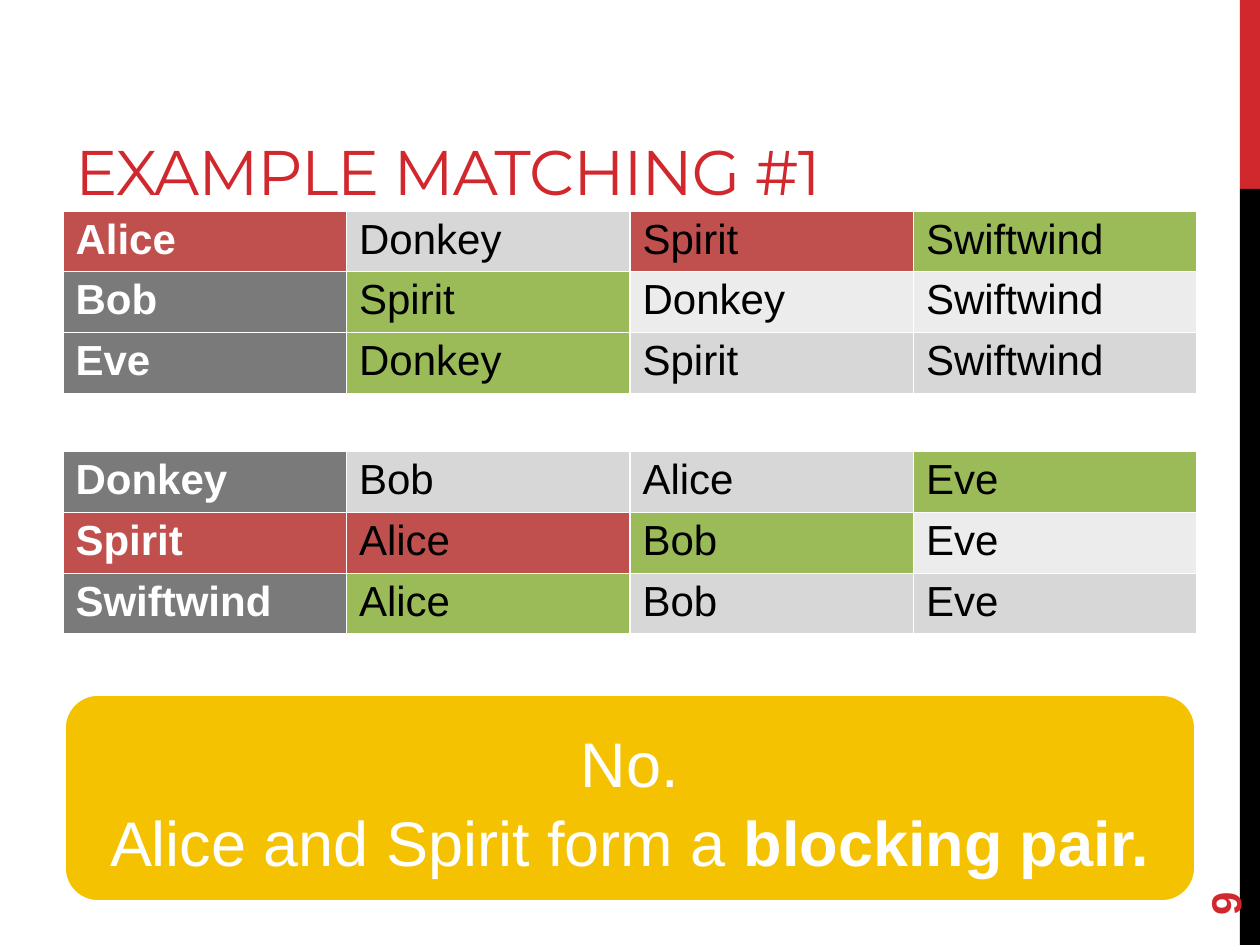
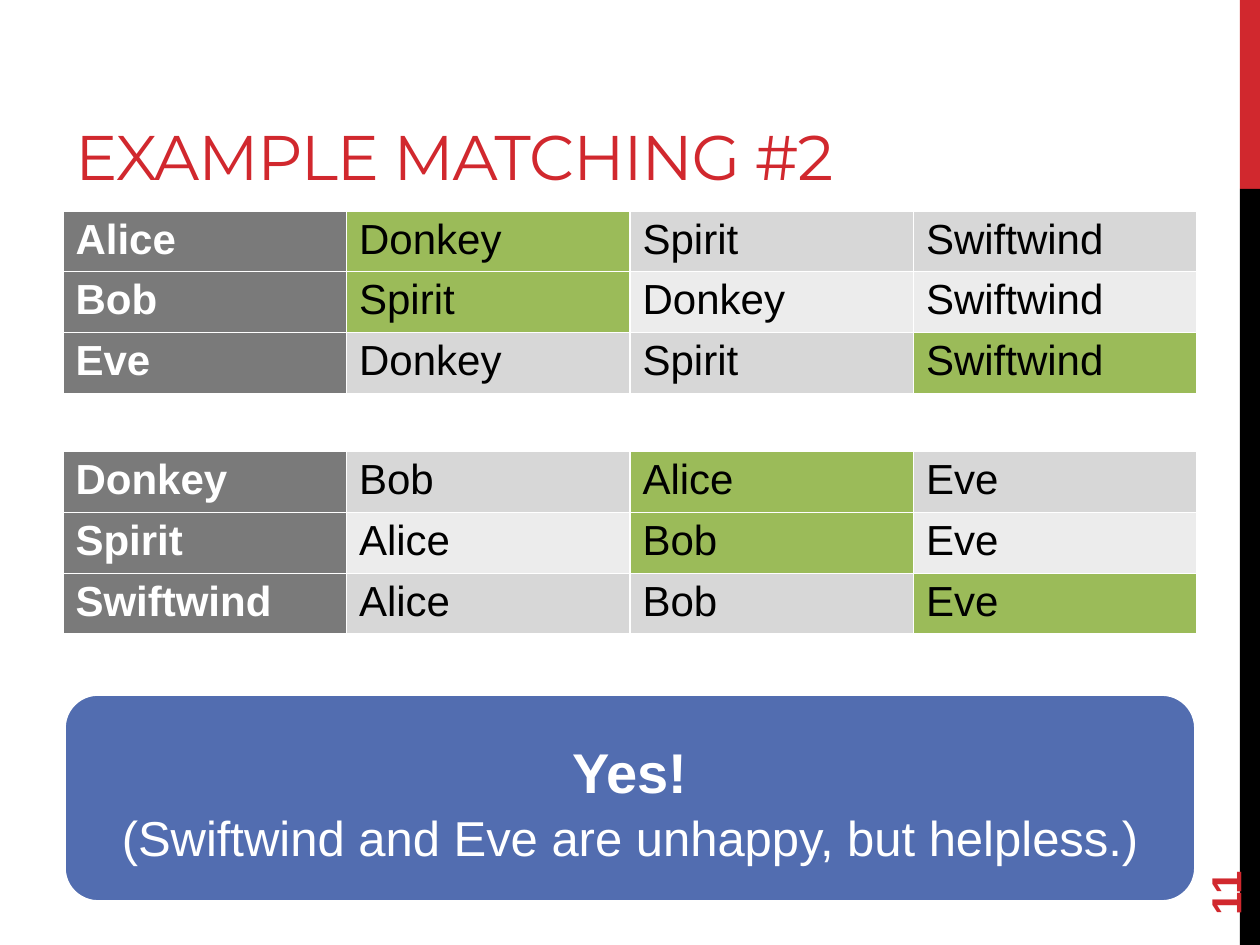
from lxml import etree
from pptx import Presentation
from pptx.dml.color import RGBColor
from pptx.enum.shapes import MSO_SHAPE
from pptx.enum.text import MSO_ANCHOR, PP_ALIGN
from pptx.oxml.ns import qn
from pptx.util import Pt

RECTANGLE = MSO_SHAPE.RECTANGLE
ROUNDED = MSO_SHAPE.ROUNDED_RECTANGLE
BOTTOM = MSO_ANCHOR.BOTTOM
MIDDLE = MSO_ANCHOR.MIDDLE
LEFT = PP_ALIGN.LEFT
CENTER = PP_ALIGN.CENTER

RED = RGBColor(0xD1, 0x28, 0x2E)
BLACK = RGBColor(0, 0, 0)
WHITE = RGBColor(255, 255, 255)
HEADER_GRAY = RGBColor(0x7A, 0x7A, 0x7A)
BAND_GRAYS = [RGBColor(0xD7, 0xD7, 0xD7), RGBColor(0xEC, 0xEC, 0xEC)]
MATCH_GREEN = RGBColor(0x9B, 0xBB, 0x59)
BLOCKING_RED = RGBColor(0xC0, 0x50, 0x4D)
YELLOW = RGBColor(0xF5, 0xC2, 0x01)
BLUE = RGBColor(0x52, 0x6D, 0xB0)

MARGIN = 36
CONTENT_WIDTH = 648
ROW_HEIGHT = 33.8

SIDE_BANDS = [(0, 108, RED), (108, 432, BLACK)]

RIDER_PREFERENCES = [
    ["Alice", "Donkey", "Spirit", "Swiftwind"],
    ["Bob", "Spirit", "Donkey", "Swiftwind"],
    ["Eve", "Donkey", "Spirit", "Swiftwind"],
]
HORSE_PREFERENCES = [
    ["Donkey", "Bob", "Alice", "Eve"],
    ["Spirit", "Alice", "Bob", "Eve"],
    ["Swiftwind", "Alice", "Bob", "Eve"],
]
TABLES = [(120.5, RIDER_PREFERENCES), (258, HORSE_PREFERENCES)]

SLIDES = [
    {
        "title": "EXAMPLE MATCHING #1",
        "title_box": (MARGIN, 12.24, 550.8, 108),
        "number": "9",
        "matches": [{"Alice", "Swiftwind"}, {"Bob", "Spirit"}, {"Eve", "Donkey"}],
        "blocking": {"Alice", "Spirit"},
        "verdict_color": YELLOW,
        "verdict": [
            [("No.", 36, False)],
            [("Alice and Spirit form a ", 36, False), ("blocking pair.", 36, True)],
        ],
    },
    {
        "title": "EXAMPLE MATCHING #2",
        "title_box": (MARGIN, 21.6, CONTENT_WIDTH, 90),
        "number": "11",
        "matches": [{"Alice", "Donkey"}, {"Bob", "Spirit"}, {"Eve", "Swiftwind"}],
        "blocking": set(),
        "verdict_color": BLUE,
        "verdict": [
            [("Yes!", 32, True)],
            [("(Swiftwind and Eve are unhappy, but helpless.)", 28, False)],
        ],
    },
]


def write(paragraph, text, size=24, color=BLACK, bold=False, font="Arial", align=LEFT):
    paragraph.alignment = align
    run = paragraph.add_run()
    run.text = text
    run.font.name = font
    run.font.size = Pt(size)
    run.font.bold = bold
    run.font.color.rgb = color
    return run


def add_border(cell, color, width):
    properties = cell._tc.get_or_add_tcPr()
    for side in ("lnL", "lnR", "lnT", "lnB"):
        line = etree.SubElement(properties, qn(f"a:{side}"), w=str(Pt(width)))
        fill = etree.SubElement(line, qn("a:solidFill"))
        etree.SubElement(fill, qn("a:srgbClr"), val=str(color))


presentation = Presentation()
presentation.slide_width = Pt(720)
presentation.slide_height = Pt(540)

for content in SLIDES:
    slide = presentation.slides.add_slide(presentation.slide_layouts[6])

    for top, height, color in SIDE_BANDS:
        band = slide.shapes.add_shape(RECTANGLE, Pt(708.5), Pt(top), Pt(11.5), Pt(height))
        band.shadow.inherit = False
        band.fill.solid()
        band.fill.fore_color.rgb = color
        band.line.fill.background()

    title = slide.shapes.add_textbox(*map(Pt, content["title_box"])).text_frame
    title.word_wrap = True
    title.vertical_anchor = BOTTOM
    title.margin_bottom = Pt(1.5)
    title_run = write(title.paragraphs[0], content["title"], size=36, color=RED, font="Montserrat")
    title_run.font._element.set("spc", "-60")

    for top, preferences in TABLES:
        table = slide.shapes.add_table(
            len(preferences), len(preferences[0]),
            Pt(MARGIN), Pt(top), Pt(CONTENT_WIDTH), Pt(ROW_HEIGHT * len(preferences)),
        ).table
        for row_index, names in enumerate(preferences):
            for column_index, name in enumerate(names):
                is_header = column_index == 0
                pair = {names[0], name}
                if pair == content["blocking"] or is_header and name in content["blocking"] and content["blocking"] <= set(names):
                    cell_color = BLOCKING_RED
                elif is_header:
                    cell_color = HEADER_GRAY
                elif pair in content["matches"]:
                    cell_color = MATCH_GREEN
                else:
                    cell_color = BAND_GRAYS[row_index % 2]
                cell = table.cell(row_index, column_index)
                cell.margin_top = cell.margin_bottom = Pt(3)
                add_border(cell, WHITE, 1)
                cell.fill.solid()
                cell.fill.fore_color.rgb = cell_color
                write(cell.text_frame.paragraphs[0], name,
                      color=WHITE if is_header else BLACK, bold=is_header)

    verdict = slide.shapes.add_shape(ROUNDED, Pt(MARGIN), Pt(396), Pt(CONTENT_WIDTH), Pt(120))
    verdict.shadow.inherit = False
    verdict.fill.solid()
    verdict.fill.fore_color.rgb = content["verdict_color"]
    verdict.line.color.rgb = WHITE
    verdict.line.width = Pt(3.25)
    verdict_frame = verdict.text_frame
    verdict_frame.word_wrap = True
    verdict_frame.vertical_anchor = MIDDLE
    verdict_frame.margin_top = Pt(8)
    for index, runs in enumerate(content["verdict"]):
        if index == 0:
            paragraph = verdict_frame.paragraphs[0]
        else:
            paragraph = verdict_frame.add_paragraph()
            paragraph.space_before = Pt(1.5)
        for text, size, bold in runs:
            write(paragraph, text, size=size, color=WHITE, bold=bold, align=CENTER)

    number_box = slide.shapes.add_textbox(Pt(648), Pt(463.7), Pt(103.7), Pt(28.8))
    number_box.rotation = 270
    number_frame = number_box.text_frame
    number_frame.word_wrap = True
    number_frame.vertical_anchor = MIDDLE
    write(number_frame.paragraphs[0], content["number"], color=RED, bold=True)

presentation.save("out.pptx")
